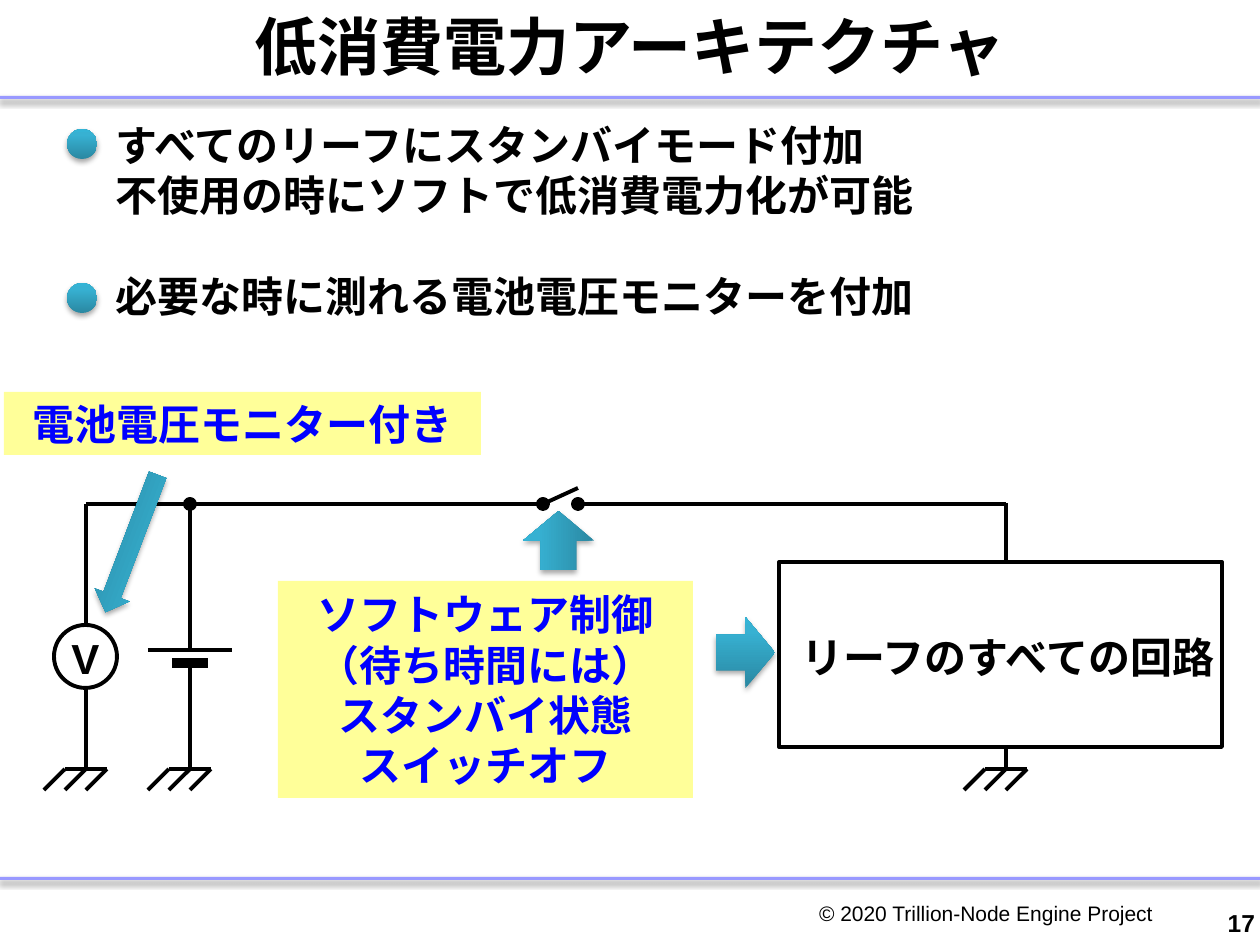
from copy import deepcopy

from lxml.etree import SubElement
from pptx import Presentation
from pptx.dml.color import RGBColor
from pptx.enum.shapes import MSO_CONNECTOR as Connector, MSO_SHAPE as Shape
from pptx.enum.text import MSO_ANCHOR as Anchor, MSO_AUTO_SIZE as AutoSize, PP_ALIGN as Align
from pptx.oxml.ns import qn
from pptx.util import Emu, Pt

SCALE = 914400 / 126
COLORS = {
    "ink": "000000", "rule": "9999FF", "note": "FFFF99", "note_text": "0000FF",
    "teal_dark": "2A88A2", "teal": "37B1D2", "teal_light": "34B4D6",
}
TEAL_STOPS = [("teal_dark", 0), ("teal", 0.8), ("teal_light", 1)]


def px(length):
    return Emu(round(length * SCALE))


def rgb(name):
    return RGBColor.from_string(COLORS[name])


class Deck:
    font = "Arial"
    wire_width = 2.25

    def __init__(self, width, height):
        self.prs = Presentation()
        self.prs.slide_width, self.prs.slide_height = px(width), px(height)
        self.slide = self.prs.slides.add_slide(self.prs.slide_layouts[1])

    def set_text(self, frame, lines, size, color="ink", bold=True, align=Align.LEFT,
                 anchor=Anchor.MIDDLE, bullets_off=False):
        frame.word_wrap = True
        frame.auto_size = AutoSize.NONE
        frame.vertical_anchor = anchor
        frame.text = "\n".join(lines)
        for line in frame.paragraphs:
            if bullets_off:
                props = line._p.get_or_add_pPr()
                props.set("marL", "0")
                props.set("indent", "0")
                SubElement(props, qn("a:buNone"))
            line.alignment = align
            line.space_before = Pt(0)
            font = line.font
            font.name, font.size, font.bold = self.font, Pt(size), bold
            font.color.rgb = rgb(color)

    def place(self, item, x, y, w, h):
        item.left, item.top, item.width, item.height = map(px, (x, y, w, h))

    def title(self, text, *box):
        heading = self.slide.shapes.title
        self.place(heading, *box)
        self.set_text(heading.text_frame, [text], 36, align=Align.CENTER)

    def body(self, lines, *box):
        points = self.slide.placeholders[1]
        self.place(points, *box)
        self.set_text(points.text_frame, lines, 24, anchor=Anchor.TOP, bullets_off=True)
        return points.text_frame.paragraphs

    def label(self, text, x, y, w, h, size=24, bold=True, align=Align.LEFT, inset=None):
        frame = self.slide.shapes.add_textbox(*map(px, (x, y, w, h))).text_frame
        if inset is not None:
            frame.margin_left = frame.margin_right = px(inset)
            frame.margin_top = frame.margin_bottom = px(inset)
        self.set_text(frame, [text], size, bold=bold, align=align)

    def shape(self, kind, x, y, w, h, fill=None, line=None):
        item = self.slide.shapes.add_shape(kind, *map(px, (x, y, w, h)))
        item.shadow.inherit = False
        if fill:
            item.fill.solid()
            item.fill.fore_color.rgb = rgb(fill)
        else:
            item.fill.background()
        if line:
            item.line.color.rgb = rgb(line)
            item.line.width = Pt(self.wire_width)
        else:
            item.line.fill.background()
        return item

    def shadow(self, item, blur, distance):
        effects = item._element.spPr.find(qn("a:effectLst"))
        outer = SubElement(effects, qn("a:outerShdw"), blurRad=str(int(Pt(blur))),
                           dist=str(int(Pt(distance))), dir="5400000", rotWithShape="0")
        color = SubElement(outer, qn("a:srgbClr"), val=COLORS["ink"])
        SubElement(color, qn("a:alpha"), val="35000")

    def rule(self, y):
        self.shadow(self.shape(Shape.RECTANGLE, 0, y, 1260, 3, "rule"), 3.5, 2.2)

    def glossy(self, kind, x, y, w, h, rotation=0):
        item = self.shape(kind, x, y, w, h)
        item.rotation = rotation
        item.fill.gradient()
        item.fill.gradient_angle = 90
        stop_list = item._element.spPr.find(qn("a:gradFill")).find(qn("a:gsLst"))
        stop_list.append(deepcopy(stop_list[-1]))
        for stop, (color, position) in zip(item.fill.gradient_stops, TEAL_STOPS):
            stop.color.rgb = rgb(color)
            stop.position = position
        self.shadow(item, 3.1, 1.8)

    def note(self, lines, *box):
        card = self.shape(Shape.RECTANGLE, *box, fill="note")
        self.set_text(card.text_frame, lines, 24, "note_text", align=Align.CENTER)

    def wire(self, x1, y1, x2, y2, width=wire_width):
        line = self.slide.shapes.add_connector(
            Connector.STRAIGHT, *map(px, (x1, y1, x2, y2)))
        line.line.color.rgb = rgb("ink")
        line.line.width = Pt(width)
        SubElement(line._element.spPr, qn("a:effectLst"))

    def node(self, x, y):
        self.shape(Shape.OVAL, x - 5, y - 5, 10, 10, "ink", "ink")

    def ground(self, x, y, step=21):
        self.wire(x, y - step, x, y)
        self.wire(x - step, y, x + step, y)
        for top in (x - step, x, x + step):
            self.wire(top - step, y + step, top, y)


deck = Deck(1260, 945)

# Page frame
for rule_y in (96, 877):
    deck.rule(rule_y)
deck.label("© 2020 Trillion-Node Engine Project", 819, 887, 400, 53, 12, False, inset=0)
deck.label("17", 1186, 902, 69, 42, 14, align=Align.RIGHT, inset=0)

# Title and points
deck.title("低消費電力アーキテクチャ", 0, 16, 1260, 59)
points = deck.body(["すべてのリーフにスタンバイモード付加",
                    "不使用の時にソフトで低消費電力化が可能",
                    "必要な時に測れる電池電圧モニターを付加"], 103, 113, 1012, 217)
points[2].space_before = Pt(29)
for ball_y in (129, 283):
    deck.glossy(Shape.OVAL, 67, ball_y, 30, 30)

# Circuit: supply rail, meter and battery branches, load
METER_X, BATTERY_X, LOAD_X = 86, 190, 1006
RAIL_Y, GROUND_Y = 504, 769
SWITCH_LEFT, SWITCH_RIGHT = 543, 578
deck.wire(METER_X, RAIL_Y, SWITCH_LEFT, RAIL_Y)
deck.wire(SWITCH_RIGHT, RAIL_Y, LOAD_X, RAIL_Y)
deck.wire(SWITCH_LEFT, RAIL_Y, SWITCH_RIGHT, 488)
deck.wire(METER_X, RAIL_Y, METER_X, 625)
deck.wire(METER_X, 688, METER_X, 750)
deck.wire(BATTERY_X, RAIL_Y, BATTERY_X, 650)
deck.wire(BATTERY_X, 663, BATTERY_X, 750)
deck.wire(LOAD_X, RAIL_Y - 1, LOAD_X, 562)
for node_x in (BATTERY_X, SWITCH_LEFT, SWITCH_RIGHT):
    deck.node(node_x, RAIL_Y)
for ground_x in (METER_X, BATTERY_X, LOAD_X):
    deck.ground(ground_x, GROUND_Y)

# Battery plates and voltmeter
deck.wire(BATTERY_X - 42, 650, BATTERY_X + 42, 650)
deck.wire(BATTERY_X - 18, 663, BATTERY_X + 18, 663, 6)
deck.shape(Shape.OVAL, 54, 625, 63, 63, line="ink")
deck.label("V", 59, 626, 53, 63, align=Align.CENTER, inset=0)

# Load
deck.shape(Shape.RECTANGLE, 779, 562, 443, 185, line="ink")
deck.label("リーフのすべての回路", 789, 625, 456, 63)

# Notes and their arrows
deck.note(["電池電圧モニター付き"], 4, 392, 477, 63)
deck.note(["ソフトウェア制御", "（待ち時間には）", "スタンバイ状態", "スイッチオフ"],
          278, 581, 415, 217)
deck.glossy(Shape.RIGHT_ARROW, 716, 617, 59, 71)
deck.glossy(Shape.RIGHT_ARROW, 529, 505, 59, 71, 270)
deck.glossy(Shape.RIGHT_ARROW, 58, 525, 147, 37, 110.8)

deck.prs.save("out.pptx")
